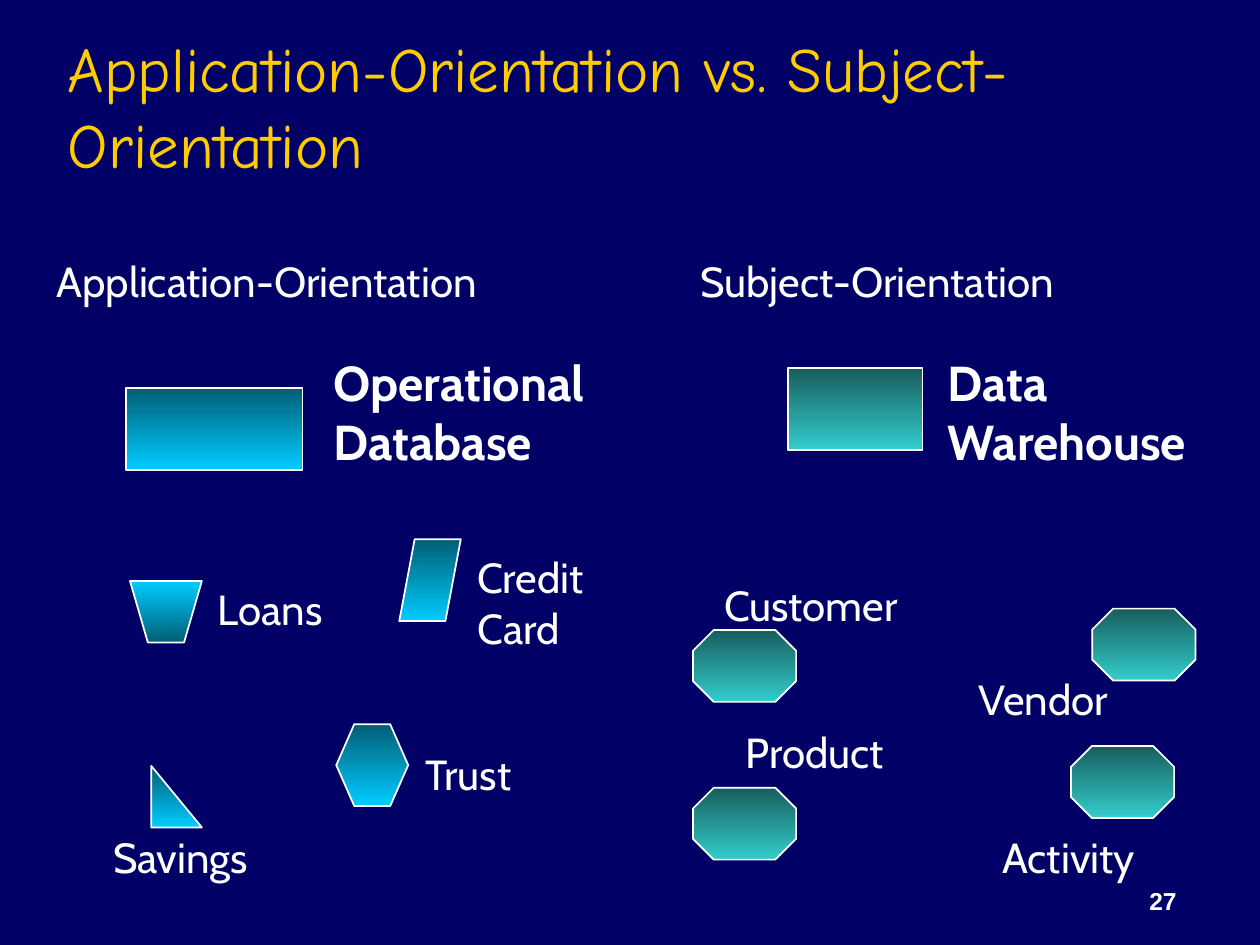
"""Build a slide contrasting application-orientation with subject-orientation."""
from pptx import Presentation
from pptx.dml.color import RGBColor
from pptx.enum.shapes import MSO_SHAPE
from pptx.enum.text import MSO_ANCHOR, PP_ALIGN
from pptx.util import Cm, Pt

RECT = MSO_SHAPE.RECTANGLE
TRAPEZOID = MSO_SHAPE.TRAPEZOID
HEXAGON = MSO_SHAPE.HEXAGON
TRIANGLE = MSO_SHAPE.RIGHT_TRIANGLE
SLANT = MSO_SHAPE.PARALLELOGRAM
OCTAGON = MSO_SHAPE.OCTAGON
TOP, MIDDLE, BOTTOM = MSO_ANCHOR.TOP, MSO_ANCHOR.MIDDLE, MSO_ANCHOR.BOTTOM
LEFT, RIGHT = PP_ALIGN.LEFT, PP_ALIGN.RIGHT

NAVY = RGBColor(0x00, 0x00, 0x66)
GOLD = RGBColor(0xFF, 0xCC, 0x00)
WHITE = RGBColor(0xFF, 0xFF, 0xFF)
BLUE = (RGBColor(0x00, 0x5E, 0x76), RGBColor(0x00, 0xCC, 0xFF))
TEAL = (RGBColor(0x18, 0x5E, 0x5E), RGBColor(0x33, 0xCC, 0xCC))


def add_text(slide, words, box, size, bold=False, face="Cabin", color=WHITE,
             anchor=TOP, align=LEFT):
    frame = slide.shapes.add_textbox(*map(Cm, box)).text_frame
    frame.word_wrap = True
    frame.vertical_anchor = anchor
    frame.text = words
    for para in frame.paragraphs:
        para.alignment = align
        para.font.name = face
        para.font.size = Pt(size)
        para.font.bold = bold
        para.font.color.rgb = color


def add_block(slide, kind, box, shades, adjust=None, turn=0):
    block = slide.shapes.add_shape(kind, *map(Cm, box))
    block.shadow.inherit = False
    block.rotation = turn
    if adjust is not None:
        block.adjustments[0] = adjust
    block.fill.gradient()
    block.fill.gradient_angle = 270
    for stop, shade, place in zip(block.fill.gradient_stops, shades, (0, 1)):
        stop.color.rgb = shade
        stop.position = place
    block.line.color.rgb = WHITE
    block.line.width = Pt(1)


deck = Presentation()
deck.slide_width, deck.slide_height = Cm(25.4), Cm(19.05)
slide = deck.slides.add_slide(deck.slide_layouts[6])
slide.background.fill.solid()
slide.background.fill.fore_color.rgb = NAVY

add_text(slide, "27", (18.69, 17.3, 5.28, 1.27), 14, True, "Arial",
         anchor=BOTTOM, align=RIGHT)
add_text(slide, "Application-Orientation vs. Subject-Orientation",
         (1.12, 0.64, 21.59, 2.97), 36, face="Comic Neue", color=GOLD,
         anchor=MIDDLE)

add_block(slide, RECT, (2.54, 7.82, 3.56, 1.65), BLUE)
add_block(slide, TRAPEZOID, (2.62, 11.71, 1.45, 1.24), BLUE, 0.29, 180)
add_block(slide, HEXAGON, (6.78, 14.6, 1.45, 1.65), BLUE, 0.25)
add_block(slide, TRIANGLE, (3.05, 15.44, 1.02, 1.24), BLUE)
add_block(slide, SLANT, (8.05, 10.87, 1.24, 1.65), BLUE, 0.25)

add_block(slide, RECT, (15.88, 7.42, 2.72, 1.65), TEAL)
for left, top in ((13.97, 12.7), (22.02, 12.27), (21.59, 15.04), (13.97, 15.88)):
    add_block(slide, OCTAGON, (left, top, 2.08, 1.45), TEAL, 0.29)

for words, left, width in (("Operational Database", 6.48, 6.43),
                           ("Data\nWarehouse", 18.85, 6.07)):
    add_text(slide, words, (left, 6.99, width, 2.62), 28, True)

labels = (
    ("Application-Orientation", 0.89, 5.03, 9.8),
    ("Subject-Orientation", 13.87, 5.03, 8.26),
    ("Loans", 4.14, 11.63, 2.87),
    ("Credit\nCard", 9.37, 11, 3.12),
    ("Trust", 8.33, 14.96, 2.57),
    ("Savings", 2.03, 16.64, 3.53),
    ("Customer", 14.35, 11.56, 4.39),
    ("Vendor", 19.48, 13.46, 3.4),
    ("Product", 14.78, 14.53, 3.76),
    ("Activity", 19.96, 16.64, 3.35),
)
for words, left, top, width in labels:
    height = 1.27 + 1.02 * words.count("\n")
    add_text(slide, words, (left, top, width, height), 24)

deck.save("out.pptx")
